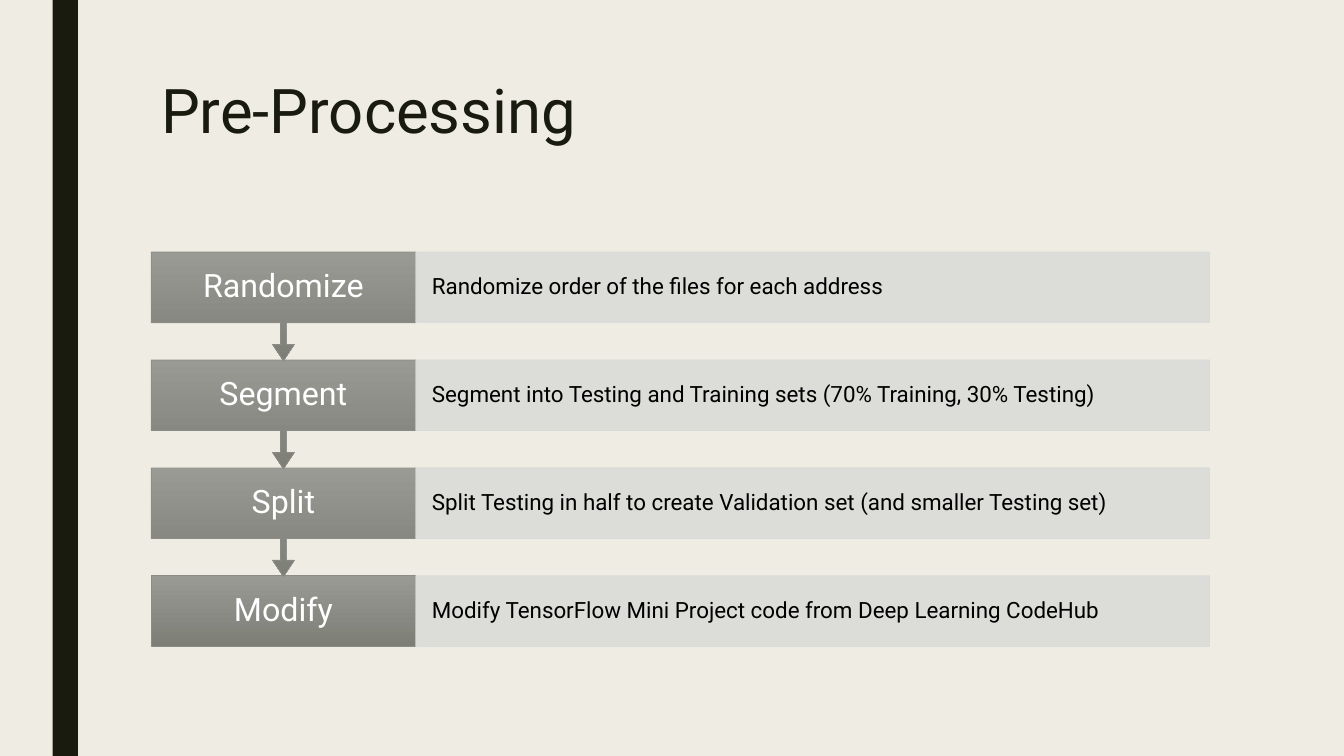
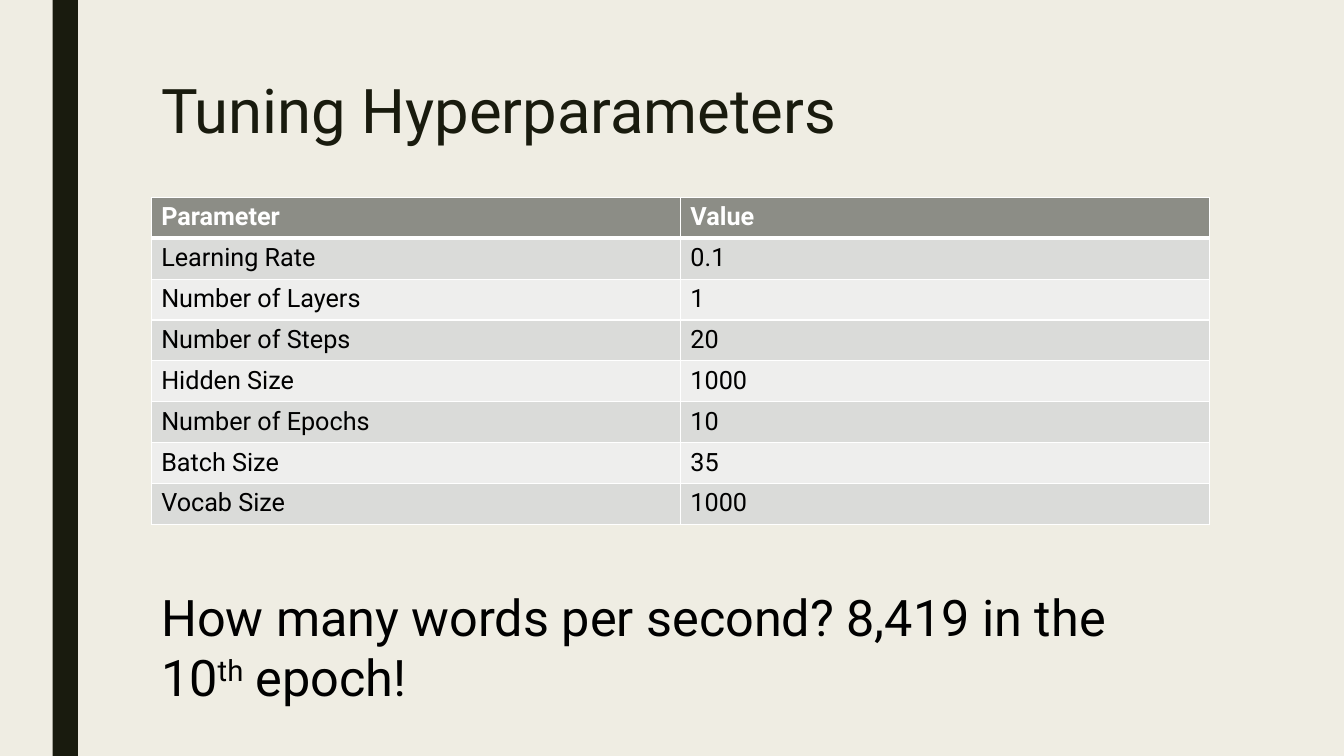
"""Build two slides on pre-processing steps and tuned hyperparameters."""
from lxml.etree import SubElement
from pptx import Presentation
from pptx.dml.color import RGBColor as RGB
from pptx.enum.shapes import MSO_SHAPE as SHAPE
from pptx.enum.text import MSO_ANCHOR as ANCHOR, MSO_AUTO_SIZE as AUTO, PP_ALIGN as ALIGN
from pptx.oxml.ns import qn
from pptx.util import Pt

COLORS = {
    "paper": "EFEDE3", "ink": "191B0E", "black": "000000", "white": "FFFFFF",
    "gray": "8C8D86", "gray_light": "999A94", "gray_dark": "7D7E76",
    "band_dark": "DADBD9", "band_light": "EEEEED",
}
FONT = "Roboto"
LEFT, WIDTH = 108, 756


def rgb(name):
    return RGB.from_string(COLORS[name])


class Deck:
    def __init__(self):
        self.prs = Presentation()
        self.prs.slide_width, self.prs.slide_height = Pt(960), Pt(540)
        fill = self.prs.slide_master.background.fill
        fill.solid()
        fill.fore_color.rgb = rgb("paper")
        self.s = None

    def slide(self, title):
        self.s = self.prs.slides.add_slide(self.prs.slide_layouts[6])
        band = self.shape(SHAPE.RECTANGLE, 37.6, 0, 18, 540, "ink")
        band.line.fill.background()
        self.textbox(54, 116.6, [(title, False)], 44, "ink", 0.89)

    def run(self, p, text, size, color, bold=False, raised=False):
        r = p.add_run()
        r.text = text
        r.font.name, r.font.size, r.font.bold = FONT, Pt(size), bold
        r.font.color.rgb = rgb(color)
        if raised:
            r.font._element.set("baseline", "30000")

    def textbox(self, y, h, runs, size, color, spacing=1.0):
        tf = self.s.shapes.add_textbox(Pt(LEFT), Pt(y), Pt(WIDTH), Pt(h)).text_frame
        tf.word_wrap, tf.auto_size = True, AUTO.NONE
        p = tf.paragraphs[0]
        p.line_spacing = spacing
        for text, raised in runs:
            self.run(p, text, size, color, raised=raised)

    def shape(self, kind, x, y, w, h, color):
        sp = self.s.shapes.add_shape(kind, Pt(x), Pt(y), Pt(w), Pt(h))
        sp.shadow.inherit = False
        sp.fill.solid()
        sp.fill.fore_color.rgb = rgb(color)
        sp.line.color.rgb = rgb(color)
        sp.line.width = Pt(0.5)
        return sp

    def label(self, sp, text, size, color, align, inset):
        tf = sp.text_frame
        tf.word_wrap, tf.vertical_anchor = True, ANCHOR.MIDDLE
        tf.margin_left = tf.margin_right = Pt(inset)
        p = tf.paragraphs[0]
        p.alignment, p.line_spacing = align, 0.9
        self.run(p, text, size, color)

    def step(self, y, name, detail, last):
        name_w, box_h, pitch = 189, 50.5, 77.7
        kind, h = (SHAPE.RECTANGLE, box_h) if last else (SHAPE.DOWN_ARROW_CALLOUT, pitch)
        box = self.shape(kind, LEFT, y, name_w, h, "gray")
        for i, value in enumerate(() if last else (0.05, 0.1, 0.15, 0.65)):
            box.adjustments[i] = value
        box.fill.gradient()
        box.fill.gradient_angle = 270
        for stop, color in zip(box.fill.gradient_stops, ("gray_light", "gray_dark")):
            stop.color.rgb = rgb(color)
        self.label(box, name, 23, "white", ALIGN.CENTER, 13.7)

        bar = self.shape(SHAPE.RECTANGLE, LEFT + name_w, y, WIDTH - name_w, box_h, "band_dark")
        for clr in bar._element.spPr.iter(qn("a:srgbClr")):
            SubElement(clr, qn("a:alpha"), val="90000")
        self.label(bar, detail, 16, "black", ALIGN.LEFT, 11.5)

    def border(self, cell, side, width):
        ln = SubElement(cell._tc.get_or_add_tcPr(), qn(f"a:ln{side}"), w=str(Pt(width)))
        fill = SubElement(ln, qn("a:solidFill"))
        SubElement(fill, qn("a:srgbClr"), val=COLORS["white"])

    def table(self, y, row_h, rows):
        cols = len(rows[0])
        table = self.s.shapes.add_table(
            len(rows), cols, Pt(LEFT), Pt(y), Pt(WIDTH), Pt(row_h * len(rows))).table
        table.horz_banding = False
        for i, row in enumerate(rows):
            table.rows[i].height = Pt(row_h)
            head = i == 0
            color = "gray" if head else "band_dark" if i % 2 else "band_light"
            for j, text in enumerate(row):
                cell = table.cell(i, j)
                for side in "LRTB":
                    thick = (i, side) in ((0, "B"), (1, "T"))
                    self.border(cell, side, 3 if thick else 1)
                cell.fill.solid()
                cell.fill.fore_color.rgb = rgb(color)
                self.run(cell.text_frame.paragraphs[0], text, 18,
                         "white" if head else "black", bold=head)


STEPS = [
    ("Randomize", "Randomize order of the files for each address"),
    ("Segment", "Segment into Testing and Training sets (70% Training, 30% Testing)"),
    ("Split", "Split Testing in half to create Validation set (and smaller Testing set)"),
    ("Modify", "Modify TensorFlow Mini Project code from Deep Learning CodeHub"),
]
PARAMETERS = [
    ("Parameter", "Value"),
    ("Learning Rate", "0.1"),
    ("Number of Layers", "1"),
    ("Number of Steps", "20"),
    ("Hidden Size", "1000"),
    ("Number of Epochs", "10"),
    ("Batch Size", "35"),
    ("Vocab Size", "1000"),
]


def main():
    deck = Deck()
    deck.slide("Pre-Processing")
    for i, (name, detail) in reversed(list(enumerate(STEPS))):
        deck.step(180 + 77.1 * i, name, detail, i == len(STEPS) - 1)

    deck.slide("Tuning Hyperparameters")
    deck.table(141, 29.2, PARAMETERS)
    deck.textbox(414.8, 94.5, [("How many words per second? 8,419 in the 10", False),
                               ("th", True), (" epoch!", False)], 36, "black")
    deck.prs.save("out.pptx")


if __name__ == "__main__":
    main()
